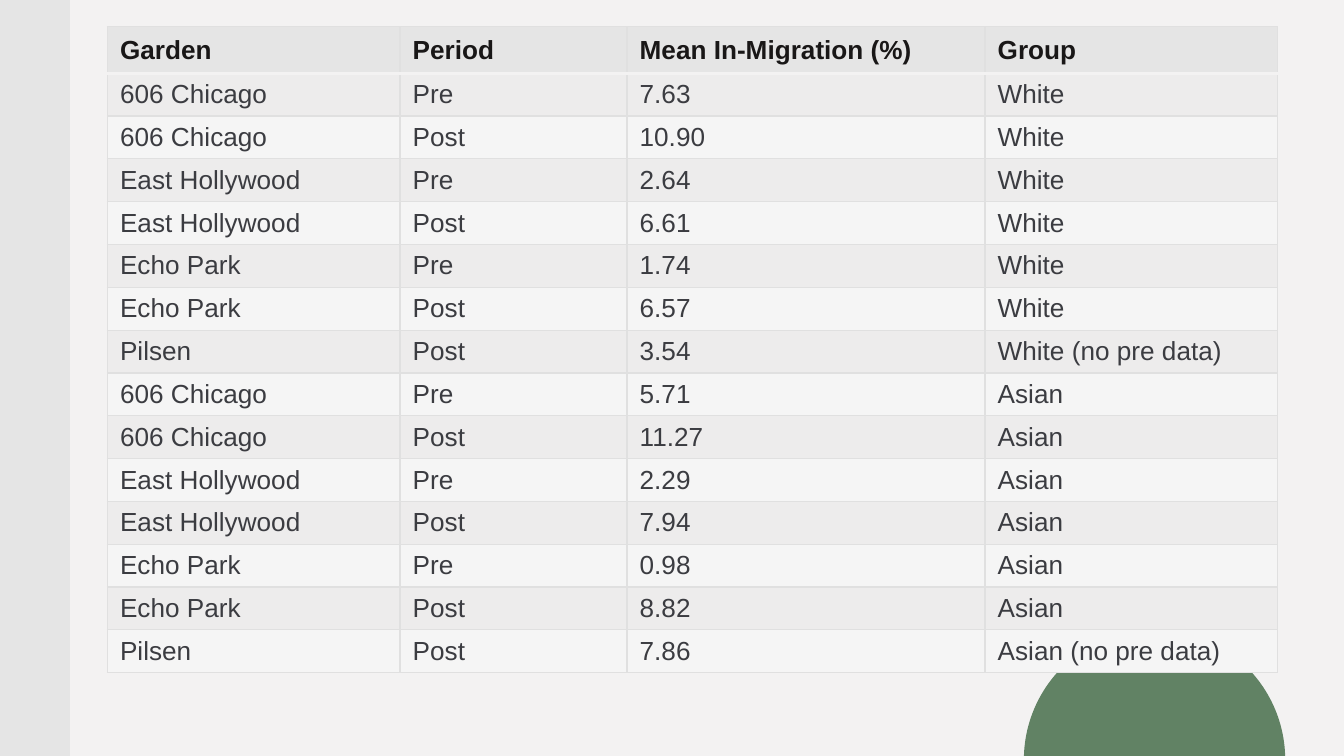
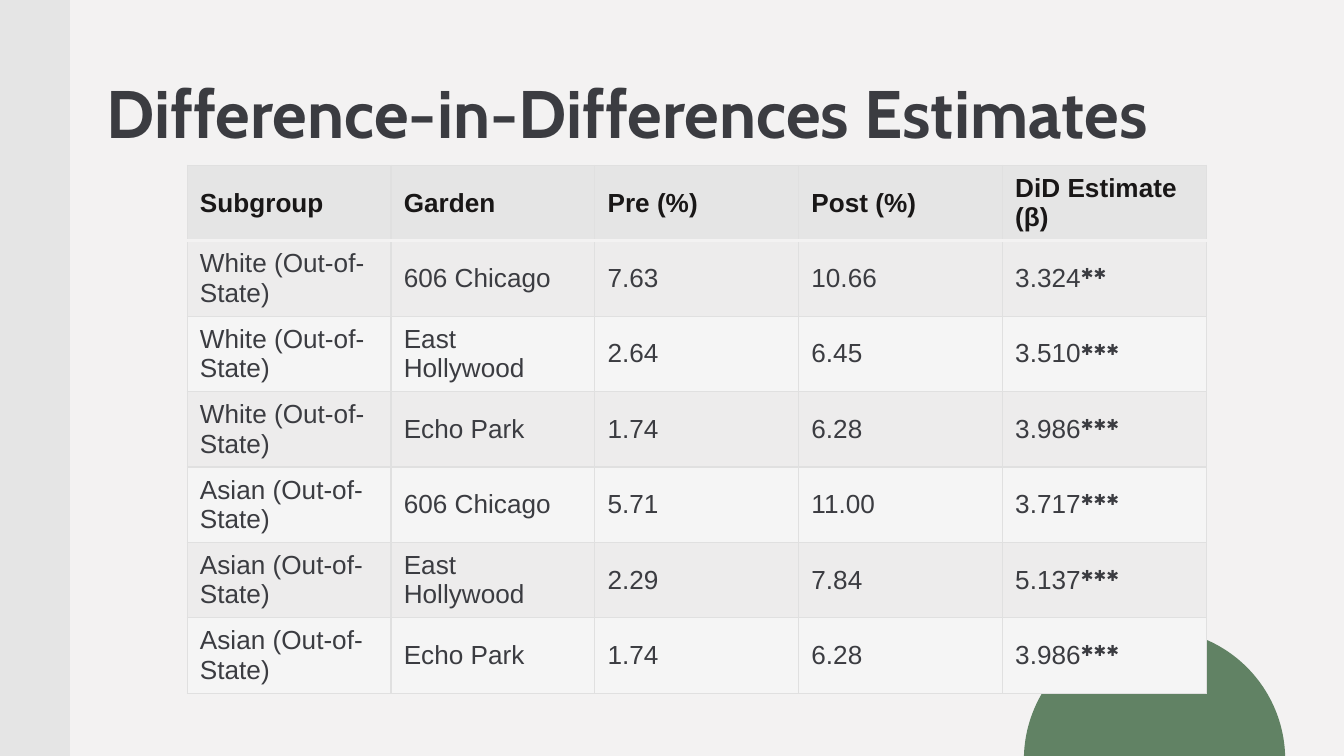
from lxml.etree import SubElement
from pptx import Presentation
from pptx.dml.color import RGBColor
from pptx.enum.shapes import MSO_SHAPE as Shape
from pptx.enum.text import MSO_ANCHOR as Anchor
from pptx.oxml.ns import qn
from pptx.util import Pt

MIGRATION_HEADER = ("Garden", "Period", "Mean In-Migration (%)", "Group")
MIGRATION_ROWS = [
    ("606 Chicago", "Pre", "7.63", "White"),
    ("606 Chicago", "Post", "10.90", "White"),
    ("East Hollywood", "Pre", "2.64", "White"),
    ("East Hollywood", "Post", "6.61", "White"),
    ("Echo Park", "Pre", "1.74", "White"),
    ("Echo Park", "Post", "6.57", "White"),
    ("Pilsen", "Post", "3.54", "White (no pre data)"),
    ("606 Chicago", "Pre", "5.71", "Asian"),
    ("606 Chicago", "Post", "11.27", "Asian"),
    ("East Hollywood", "Pre", "2.29", "Asian"),
    ("East Hollywood", "Post", "7.94", "Asian"),
    ("Echo Park", "Pre", "0.98", "Asian"),
    ("Echo Park", "Post", "8.82", "Asian"),
    ("Pilsen", "Post", "7.86", "Asian (no pre data)"),
]

ESTIMATES_TITLE = "Difference-in-Differences Estimates"
ESTIMATES_HEADER = ("Subgroup", "Garden", "Pre (%)", "Post (%)", "DiD Estimate (β)")
ESTIMATES_ROWS = [
    ("White (Out-of-State)", "606 Chicago", "7.63", "10.66", "3.324✱✱"),
    ("White (Out-of-State)", "East Hollywood", "2.64", "6.45", "3.510✱✱✱"),
    ("White (Out-of-State)", "Echo Park", "1.74", "6.28", "3.986✱✱✱"),
    ("Asian (Out-of-State)", "606 Chicago", "5.71", "11.00", "3.717✱✱✱"),
    ("Asian (Out-of-State)", "East Hollywood", "2.29", "7.84", "5.137✱✱✱"),
    ("Asian (Out-of-State)", "Echo Park", "1.74", "6.28", "3.986✱✱✱"),
]

COLORS = {
    "page": "F3F2F2",
    "band": "E5E5E5",
    "light": "F5F5F5",
    "border": "E0E0E0",
    "circle": "618264",
    "text": "3B3C41",
    "heading": "191717",
}
PAGE_WIDTH, PAGE_HEIGHT = 720, 405
HEADER_FONT = {"name": "Arial", "size": Pt(14), "bold": True}
BODY_FONT = {"name": "Arial", "size": Pt(14), "bold": False}
TITLE_FONT = {"name": "Cabin", "size": Pt(36), "bold": True}
CELL_FORMAT = {
    "vertical_anchor": Anchor.MIDDLE,
    "margin_left": Pt(6.85), "margin_right": Pt(6.85),
    "margin_top": Pt(3.4), "margin_bottom": Pt(3.4),
}
TITLE_FORMAT = {
    "word_wrap": True, "vertical_anchor": Anchor.BOTTOM,
    "margin_left": Pt(7.2), "margin_right": Pt(7.2),
    "margin_top": Pt(7.2), "margin_bottom": Pt(7.2),
}


def rgb(name):
    return RGBColor.from_string(COLORS[name])


def apply(target, values):
    for name, value in values.items():
        setattr(target, name, value)


def add_span(para, text, font, color):
    span = para.add_run()
    span.text = text
    apply(span.font, font)
    span.font.color.rgb = rgb(color)
    return span


def add_page(deck):
    page = deck.slides.add_slide(deck.slide_layouts[6])
    page.background.fill.solid()
    page.background.fill.fore_color.rgb = rgb("page")
    for kind, color, place in (
        (Shape.RECTANGLE, "band", (0, 0, 37.5, PAGE_HEIGHT)),
        (Shape.OVAL, "circle", (548.5, 337, 140, 140)),
    ):
        shape = page.shapes.add_shape(kind, *map(Pt, place))
        shape.shadow.inherit = False
        shape.fill.solid()
        shape.fill.fore_color.rgb = rgb(color)
        shape.line.fill.background()
    return page


def add_title(page, text):
    box = page.shapes.add_textbox(Pt(50), Pt(34.5), Pt(611), Pt(54))
    apply(box.text_frame, TITLE_FORMAT)
    add_span(box.text_frame.paragraphs[0], text, TITLE_FONT, "text")


def add_borders(cell, row):
    """Draw thin lines, with a thicker page-coloured one under the header."""
    thin, gap = ("border", 0.75), ("page", 2)
    sides = {"L": thin, "R": thin,
             "T": gap if row == 1 else thin, "B": gap if row == 0 else thin}
    properties = cell._tc.get_or_add_tcPr()
    for side, (color, width) in sides.items():
        line = SubElement(properties, qn(f"a:ln{side}"), w=str(Pt(width)))
        fill = SubElement(line, qn("a:solidFill"))
        SubElement(fill, qn("a:srgbClr"), val=COLORS[color])


def fill_cell(cell, row):
    shaded = row == 0 or row % 2 == 1
    cell.fill.solid()
    cell.fill.fore_color.rgb = rgb("band" if shaded else "light")
    if row % 2 == 1:
        color = cell._tc.tcPr.find(qn("a:solidFill")).find(qn("a:srgbClr"))
        SubElement(color, qn("a:alpha"), val="40000")


def write_cell(cell, text, row):
    font, color = (BODY_FONT, "text") if row else (HEADER_FONT, "heading")
    para = cell.text_frame.paragraphs[0]
    value = text.rstrip("✱")
    add_span(para, value, font, color)
    stars = text[len(value):]
    if stars:
        span = add_span(para, stars, font, color)
        span._r.get_or_add_rPr().set("baseline", "30000")


def add_data_table(page, left, top, header, rows, widths, heights):
    lines = [header, *rows]
    frame = page.shapes.add_table(
        len(lines), len(header), Pt(left), Pt(top), Pt(sum(widths)), Pt(sum(heights)))
    table = frame.table
    for column, width in zip(table.columns, widths):
        column.width = Pt(width)
    for row, (line, height) in enumerate(zip(lines, heights)):
        table.rows[row].height = Pt(height)
        for column, text in enumerate(line):
            cell = table.cell(row, column)
            apply(cell, CELL_FORMAT)
            add_borders(cell, row)
            fill_cell(cell, row)
            write_cell(cell, text, row)


def main():
    deck = Presentation()
    deck.slide_width, deck.slide_height = Pt(PAGE_WIDTH), Pt(PAGE_HEIGHT)

    page = add_page(deck)
    add_data_table(page, 57.5, 14.3, MIGRATION_HEADER, MIGRATION_ROWS,
                   widths=[156.8, 121.6, 191.8, 156.8],
                   heights=[25] + [22.95] * len(MIGRATION_ROWS))

    page = add_page(deck)
    add_title(page, ESTIMATES_TITLE)
    add_data_table(page, 100.3, 88.6, ESTIMATES_HEADER, ESTIMATES_ROWS,
                   widths=[109.2] * len(ESTIMATES_HEADER),
                   heights=[39, 39] + [39.6] * (len(ESTIMATES_ROWS) - 1))

    deck.save("out.pptx")


if __name__ == "__main__":
    main()
